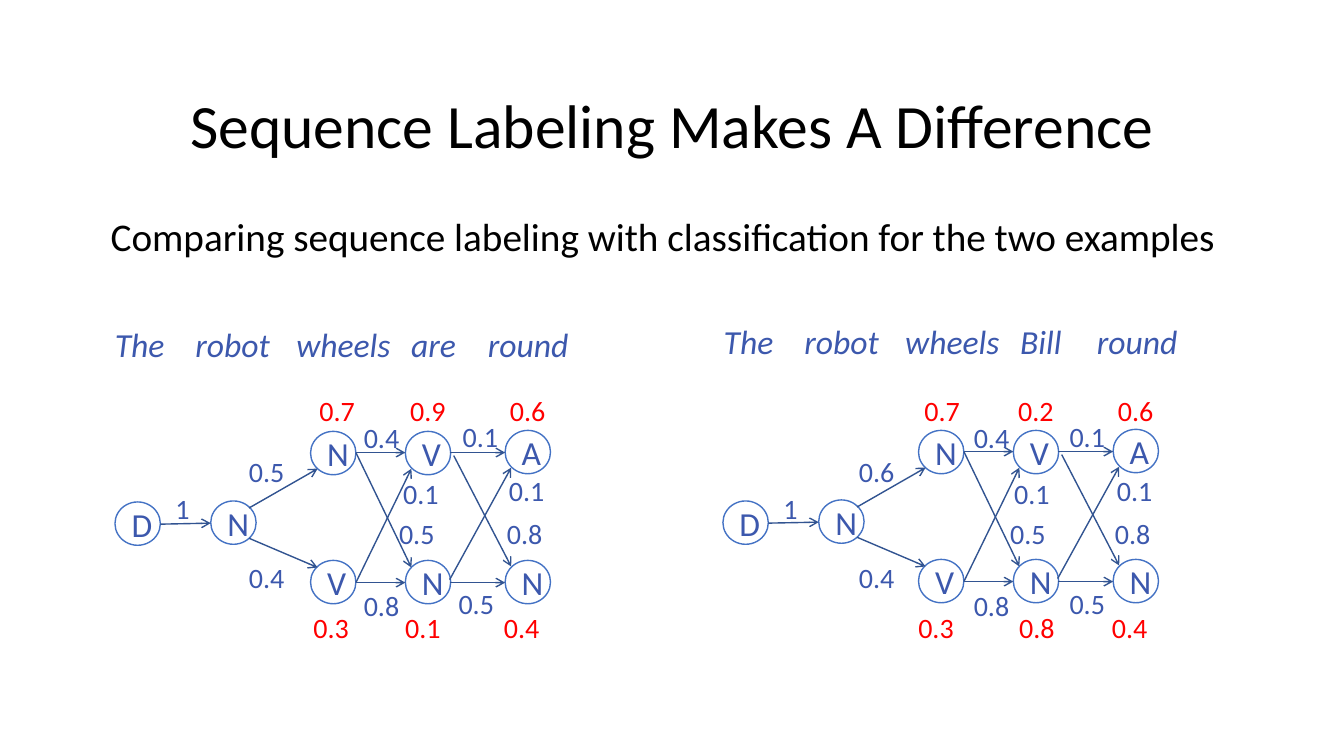
import pptx
import pptx.util
import pptx.dml.color
import pptx.enum.shapes
import pptx.enum.text
import pptx.oxml.ns
import lxml.etree

PX = 9144  # 100 px to the inch
FONT = "Calibri"
HUE = {"ink": "000000", "blue": "3C58AD", "ring": "4472C4",
       "edge": "325491", "red": "FF0000", "white": "FFFFFF"}
ALIGN = pptx.enum.text.PP_ALIGN
ANCHOR = pptx.enum.text.MSO_ANCHOR
FIT = pptx.enum.text.MSO_AUTO_SIZE


def px(n):
    return pptx.util.Emu(n * PX)


def rgb(name):
    return pptx.dml.color.RGBColor.from_string(HUE[name])


def write(frame, text, size=20, hue="blue", italic=False, center=False,
          wrap=False, space=None):
    frame.word_wrap = wrap
    if center:
        frame.vertical_anchor = ANCHOR.MIDDLE
    para = frame.paragraphs[0]
    para.alignment = ALIGN.CENTER if center else ALIGN.LEFT
    if space:
        para.line_spacing = space
    run = para.add_run()
    run.text = text
    font = run.font
    font.name, font.size, font.italic = FONT, pptx.util.Pt(size), italic
    font.color.rgb = rgb(hue)


class Board:
    def __init__(self, deck):
        self.shapes = deck.slides.add_slide(deck.slide_layouts[6]).shapes
        self.thick = pptx.util.Pt(1)

    def text(self, text, x, y, w=56, h=44, **style):
        frame = self.shapes.add_textbox(px(x), px(y), px(w), px(h)).text_frame
        write(frame, text, **style)
        if not style.get("wrap"):
            frame.auto_size = FIT.SHAPE_TO_FIT_TEXT

    def node(self, tag, x, y):
        oval = self.shapes.add_shape(pptx.enum.shapes.MSO_SHAPE.OVAL,
                                     px(x), px(y), px(45), px(43))
        oval.shadow.inherit = False
        oval.fill.solid()
        oval.fill.fore_color.rgb = rgb("white")
        oval.line.color.rgb = rgb("ring")
        oval.line.width = self.thick
        write(oval.text_frame, tag, size=24, center=True, wrap=True)

    def arrow(self, x1, y1, x2, y2):
        edge = self.shapes.add_connector(
            pptx.enum.shapes.MSO_CONNECTOR.STRAIGHT,
            px(x1), px(y1), px(x2), px(y2))
        edge.line.color.rgb = rgb("edge")
        edge.line.width = self.thick
        qn = pptx.oxml.ns.qn
        tip = lxml.etree.SubElement(edge.line._get_or_add_ln(), qn("a:tailEnd"))
        tip.set("type", "arrow")
        lxml.etree.SubElement(edge._element.spPr, qn("a:effectLst"))


# Left trellis; the right one is shifted by STEP
STEP = (603, -1)
NODES = [("D", 114, 498), ("N", 209, 497),
         ("N", 308, 428), ("V", 308, 556),
         ("V", 402, 428), ("N", 402, 556),
         ("A", 501, 427), ("N", 501, 556)]
EDGES = [(159, 520, 209, 519), (247, 504, 315, 465), (247, 534, 315, 563),
         (353, 449, 402, 449), (353, 578, 402, 578),
         (446, 449, 501, 449), (446, 578, 501, 578),
         (353, 449, 408, 563), (353, 578, 408, 465),
         (450, 452, 507, 562), (446, 575, 507, 464)]

# Words: text on each side, x, width
WORDS = [("The", "The", 104, 70), ("robot", "robot", 184, 95),
         ("wheels", "wheels", 284, 115), ("are", "Bill", 398, 65),
         ("round", "round", 474, 101)]

# Scores: value on each side, x on each side, y
MOVES = [("1", "1", 164, 767, 483),
         ("0.5", "0.6", 237, 842, 446), ("0.4", "0.4", 237, 842, 551),
         ("0.4", "0.4", 351, 956, 412), ("0.8", "0.8", 351, 956, 579),
         ("0.1", "0.1", 449, 1051, 411), ("0.5", "0.5", 445, 1051, 577),
         ("0.1", "0.1", 390, 996, 468), ("0.5", "0.5", 386, 992, 508),
         ("0.1", "0.1", 495, 1098, 465), ("0.8", "0.8", 493, 1096, 507)]
ODDS = [("0.7", "0.7", 307, 907, 385), ("0.3", "0.3", 301, 901, 601),
        ("0.9", "0.2", 397, 1000, 385), ("0.1", "0.8", 392, 1001, 601),
        ("0.6", "0.6", 496, 1099, 385), ("0.4", "0.4", 490, 1093, 601)]


def main():
    deck = pptx.Presentation()
    deck.slide_width, deck.slide_height = px(1333), px(750)
    board = Board(deck)

    # Headings
    board.text("Sequence Labeling Makes A Difference", 92, 70, 1150, 115,
               size=44, hue="ink", center=True, wrap=True, space=0.9)
    board.text("Comparing sequence labeling with classification "
               "for the two examples", 100, 206, 1127, 57, size=28, hue="ink")

    for side in range(2):
        dx, dy = side * STEP[0], side * STEP[1]
        # Sentence
        for *pair, x, w in WORDS:
            wide = 62 if pair[side] == "Bill" else w
            board.text(pair[side], x + side * 604, 316 - side * 3, wide, 50,
                       size=24, italic=True)
        # Trellis
        for tag, x, y in NODES:
            board.node(tag, x + dx, y + dy)
        for x1, y1, x2, y2 in EDGES:
            board.arrow(x1 + dx, y1 + dy, x2 + dx, y2 + dy)
        # Scores
        for hue, marks in (("blue", MOVES), ("red", ODDS)):
            for *cells, y in marks:
                text, x = cells[side], cells[2 + side]
                board.text(text, x, y, 35 if text == "1" else 56, hue=hue)

    deck.save("out.pptx")


if __name__ == "__main__":
    main()
